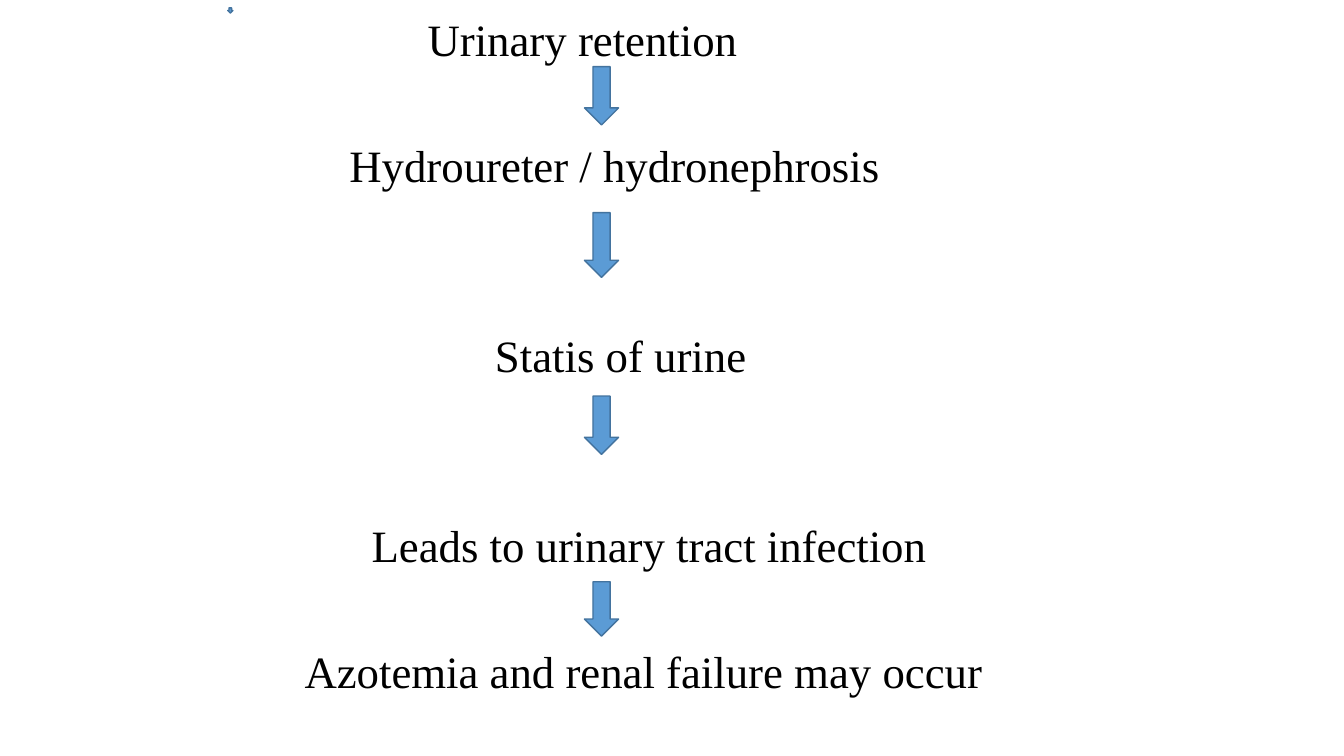
from dataclasses import dataclass

from lxml.etree import SubElement
from pptx import Presentation
from pptx.dml.color import RGBColor
from pptx.enum.shapes import MSO_SHAPE
from pptx.enum.text import MSO_ANCHOR, MSO_AUTO_SIZE, PP_ALIGN
from pptx.oxml.ns import qn
from pptx.slide import Slide
from pptx.text.text import _Paragraph as Paragraph
from pptx.util import Cm, Pt

COLORS = {"text": "000000", "arrow": "5B9BD5", "outline": "43739E"}


@dataclass
class Stage:
    text: str
    indent: float  # cm
    space_before: float  # points


@dataclass
class DownArrow:
    """A down arrow, measured in centimetres."""
    top: float
    height: float
    left: float = 14.73
    width: float = 0.86


STAGES = [
    Stage("Urinary retention", 8.18, 10),
    Stage("Hydroureter / hydronephrosis", 6.21, 55.5),
    Stage("Statis of urine", 9.88, 101),
    Stage("Leads to urinary tract infection", 6.77, 101),
    Stage("Azotemia and renal failure may occur", 5.08, 55.5),
]

ARROWS = [
    DownArrow(1.68, 1.47),
    DownArrow(0.2, 0.13, left=5.74, width=0.13),
    DownArrow(5.36, 1.63),
    DownArrow(9.98, 1.47),
    DownArrow(14.66, 1.37),
]


def color(name: str) -> RGBColor:
    return RGBColor.from_string(COLORS[name])


def write_stage(para: Paragraph, stage: Stage) -> None:
    para.text = stage.text
    para.alignment = PP_ALIGN.LEFT
    para.line_spacing = 0.9
    para.space_before = Pt(stage.space_before)
    para.space_after = Pt(0)
    para.font.name = "Times New Roman"
    para.font.size = Pt(32)
    para.font.color.rgb = color("text")
    properties = para._p.get_or_add_pPr()
    properties.set("marL", str(Cm(stage.indent)))
    properties.set("indent", "0")
    properties.insert_element_before(
        SubElement(properties, qn("a:buNone")), "a:tabLst", "a:defRPr", "a:extLst")


def fill_body(page: Slide) -> None:
    body = page.placeholders[1]
    body.left, body.top = Cm(2.34), Cm(0.33)
    body.width, body.height = Cm(29.21), Cm(18.34)
    frame = body.text_frame
    frame.word_wrap = True
    frame.auto_size = MSO_AUTO_SIZE.NONE
    frame.vertical_anchor = MSO_ANCHOR.TOP
    for number, stage in enumerate(STAGES):
        para = frame.add_paragraph() if number else frame.paragraphs[0]
        write_stage(para, stage)


def draw_arrow(page: Slide, arrow: DownArrow) -> None:
    shape = page.shapes.add_shape(
        MSO_SHAPE.DOWN_ARROW, Cm(arrow.left), Cm(arrow.top),
        Cm(arrow.width), Cm(arrow.height))
    shape.shadow.inherit = False
    shape.fill.solid()
    shape.fill.fore_color.rgb = color("arrow")
    shape.line.color.rgb = color("outline")
    shape.line.width = Pt(1)


def main() -> None:
    deck = Presentation()
    deck.slide_width, deck.slide_height = Cm(33.87), Cm(19.05)
    page = deck.slides.add_slide(deck.slide_layouts.get_by_name("Title and Content"))
    title = page.shapes.title.element
    title.getparent().remove(title)
    fill_body(page)
    for arrow in ARROWS:
        draw_arrow(page, arrow)
    deck.save("out.pptx")


if __name__ == "__main__":
    main()
